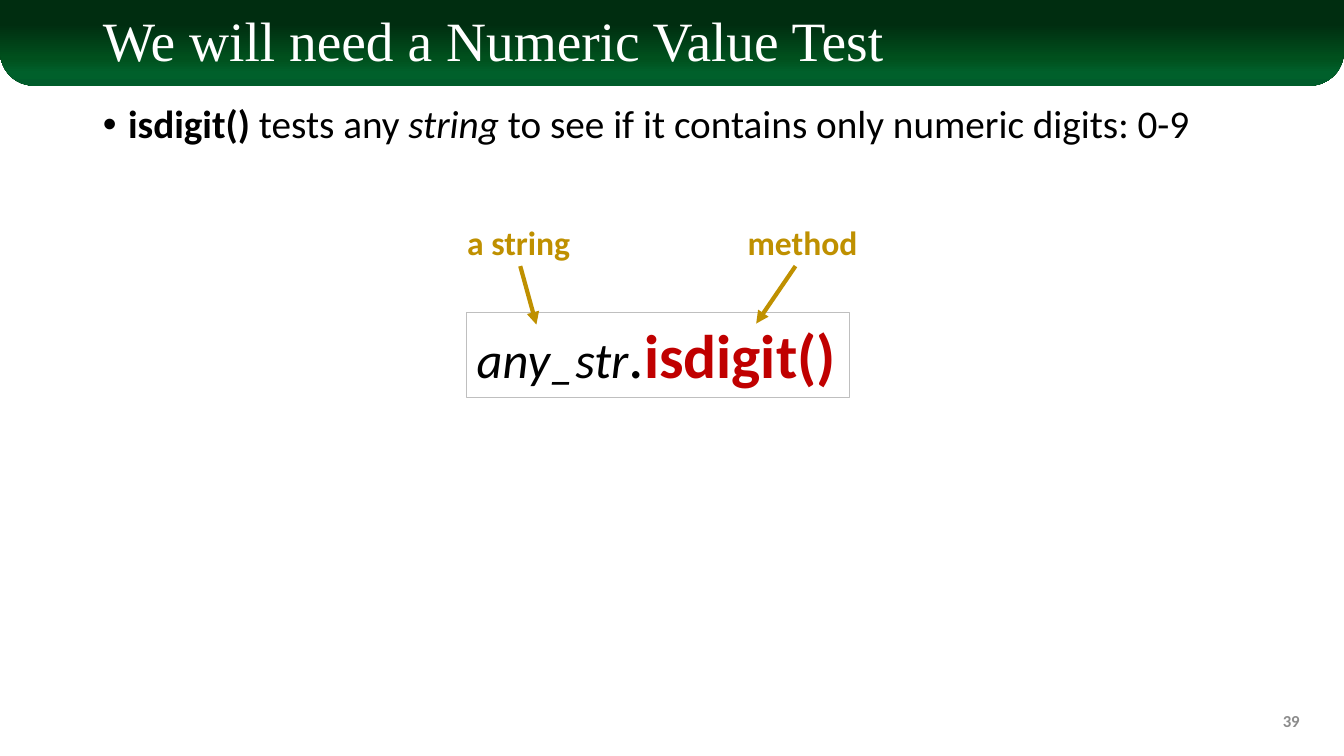
from lxml import etree
from pptx import Presentation, util as u
from pptx.dml.color import RGBColor
from pptx.enum import shapes, text
from pptx.oxml import parse_xml
from pptx.oxml.ns import nsdecls, qn

BLACK = RGBColor(0, 0, 0)
WHITE = RGBColor(255, 255, 255)
GRAY = RGBColor(0x8C, 0x8C, 0x8C)
RULE = RGBColor(0xBF, 0xBF, 0xBF)
GOLD = RGBColor(0xBF, 0x90, 0)
RED = RGBColor(0xC0, 0, 0)
SHADES = [(0, RGBColor(0, 0x2D, 0x10)), (28, RGBColor(0, 0x2D, 0x10)),
          (68, RGBColor(0, 0x50, 0x1D)), (85, RGBColor(0, 0x60, 0x2B)),
          (100, RGBColor(0, 0x5C, 0x2B))]

# Each run is its text and its format values
TITLE = [("We will need a Numeric Value Test",
          dict(name="Times New Roman", size=39.6, color=WHITE))]
BODY = [("isdigit()", dict(size=28, bold=True)),
        (" tests any ", dict(size=28)),
        ("string", dict(size=28, italic=True)),
        (" to see if it contains only numeric digits: 0-9", dict(size=28))]
CODE = [("any_str", dict(size=36, italic=True)),
        (".", dict(size=44)),
        ("isdigit()", dict(size=44, bold=True, color=RED))]
PAGE = [("39", dict(size=12, bold=True, color=GRAY))]
# Label, its box, arrow start, arrow end
LABELS = [("a string", (4.53, 2.15, 1.23, 0.5), (5.16, 2.64), (5.32, 3.22)),
          ("method", (7.31, 2.15, 1.3, 0.5), (7.89, 2.64), (7.5, 3.21))]

LEFT, MID, RIGHT = text.PP_ALIGN.LEFT, text.PP_ALIGN.CENTER, text.PP_ALIGN.RIGHT
TOP, CENTER = text.MSO_ANCHOR.TOP, text.MSO_ANCHOR.MIDDLE


def inches(vals):
    return [u.Inches(v) for v in vals]


def place(shape, box):
    for key, val in zip(("left", "top", "width", "height"), inches(box)):
        setattr(shape, key, val)


def write(shape, runs, align=LEFT, anchor=TOP, wrap=True, **para):
    frame = shape.text_frame
    frame.auto_size = text.MSO_AUTO_SIZE.NONE
    frame.word_wrap, frame.vertical_anchor = wrap, anchor
    line = frame.paragraphs[0]
    for key, val in dict(alignment=align, space_before=u.Pt(0), **para).items():
        setattr(line, key, val)
    for words, form in runs:
        run = line.add_run()
        run.text = words
        form = dict(dict(name="Calibri", bold=False, italic=False, color=BLACK), **form)
        run.font.color.rgb = form.pop("color")
        form["size"] = u.Pt(form["size"])
        for key, val in form.items():
            setattr(run.font, key, val)
    return line


def add_band(slide):
    """Draw the title band behind everything else."""
    band = slide.shapes.add_shape(shapes.MSO_SHAPE.ROUND_2_SAME_RECTANGLE,
                                  *inches((0, 0, 13.33, 0.85)))
    band.adjustments[0], band.adjustments[1] = 0, 0.4
    band.shadow.inherit = False
    band.line.fill.background()
    band.fill.gradient()
    band.fill.gradient_angle = 270
    stops = band.element.spPr.find(".//" + qn("a:gsLst"))
    for stop in list(stops):
        stops.remove(stop)
    for pos, shade in SHADES:
        stops.append(parse_xml(f'<a:gs {nsdecls("a")} pos="{pos * 1000}">'
                               f'<a:srgbClr val="{shade}"/></a:gs>'))
    slide.shapes.element.insert(2, band.element)


def add_arrow(slide, start, end):
    arrow = slide.shapes.add_connector(shapes.MSO_CONNECTOR.STRAIGHT,
                                       *inches(start + end))
    arrow.line.color.rgb, arrow.line.width = GOLD, u.Pt(3)
    etree.SubElement(arrow.line._get_or_add_ln(), qn("a:tailEnd"), type="triangle")
    etree.SubElement(arrow.element.spPr, qn("a:effectLst"))


def main():
    deck = Presentation()
    deck.slide_width, deck.slide_height = inches((13.33, 7.5))
    slide = deck.slides.add_slide(deck.slide_layouts[1])
    add_band(slide)

    title, body = slide.placeholders
    place(title, (0.92, 0.13, 11.5, 0.61))
    write(title, TITLE, anchor=CENTER, line_spacing=0.9)
    place(body, (0.92, 0.99, 11.5, 5.77))
    props = write(body, BODY, line_spacing=0.9)._p.get_or_add_pPr()
    props.set("marL", str(u.Inches(0.25)))
    props.set("indent", str(u.Inches(-0.25)))
    etree.SubElement(props, qn("a:buFont"), typeface="Arial")
    etree.SubElement(props, qn("a:buChar"), char="•")

    page = slide.shapes.add_textbox(*inches((9.99, 6.95, 3, 0.4)))
    write(page, PAGE, RIGHT, CENTER)

    code = slide.shapes.add_textbox(*inches((4.63, 3.1, 3.8, 0.84)))
    code.line.color.rgb, code.line.width = RULE, u.Pt(0.75)
    write(code, CODE, wrap=False)

    for words, box, start, end in LABELS:
        label = slide.shapes.add_textbox(*inches(box))
        write(label, [(words, dict(size=24, bold=True, color=GOLD))], MID, wrap=False)
        add_arrow(slide, start, end)
    deck.save("out.pptx")


if __name__ == "__main__":
    main()
